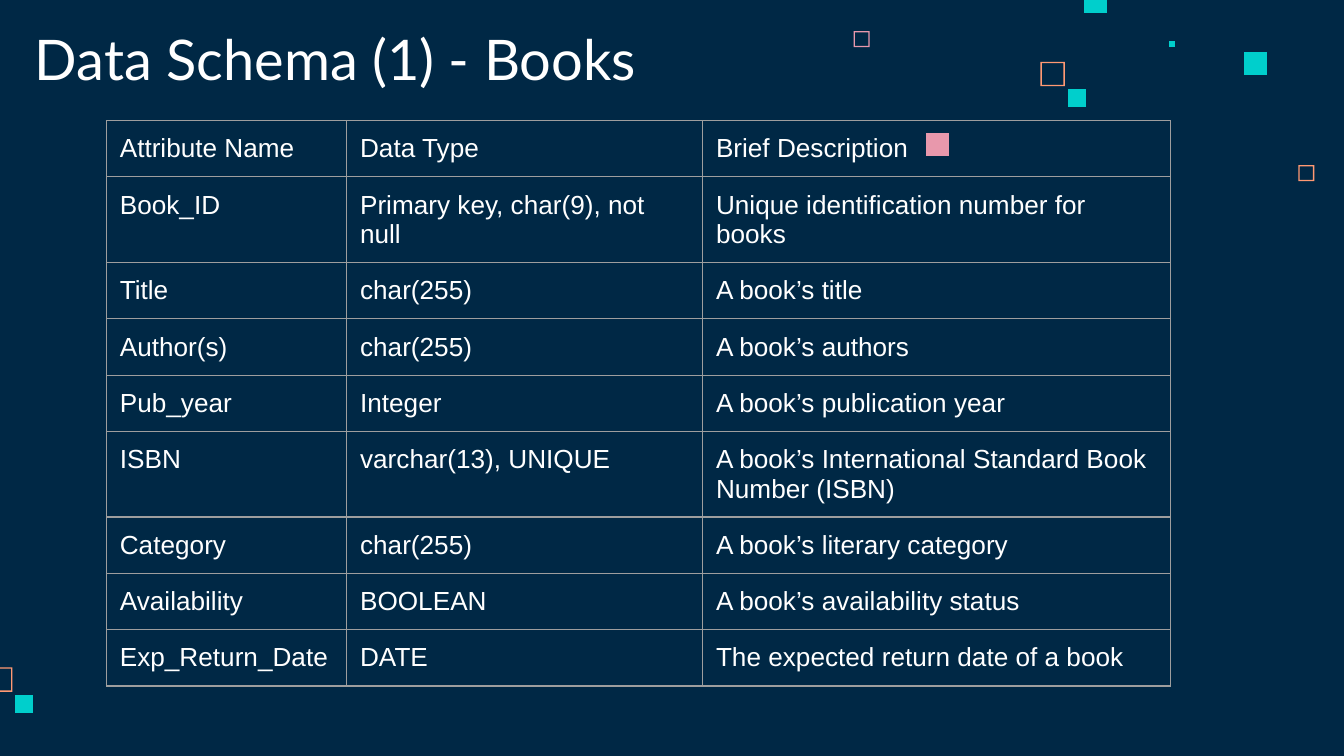
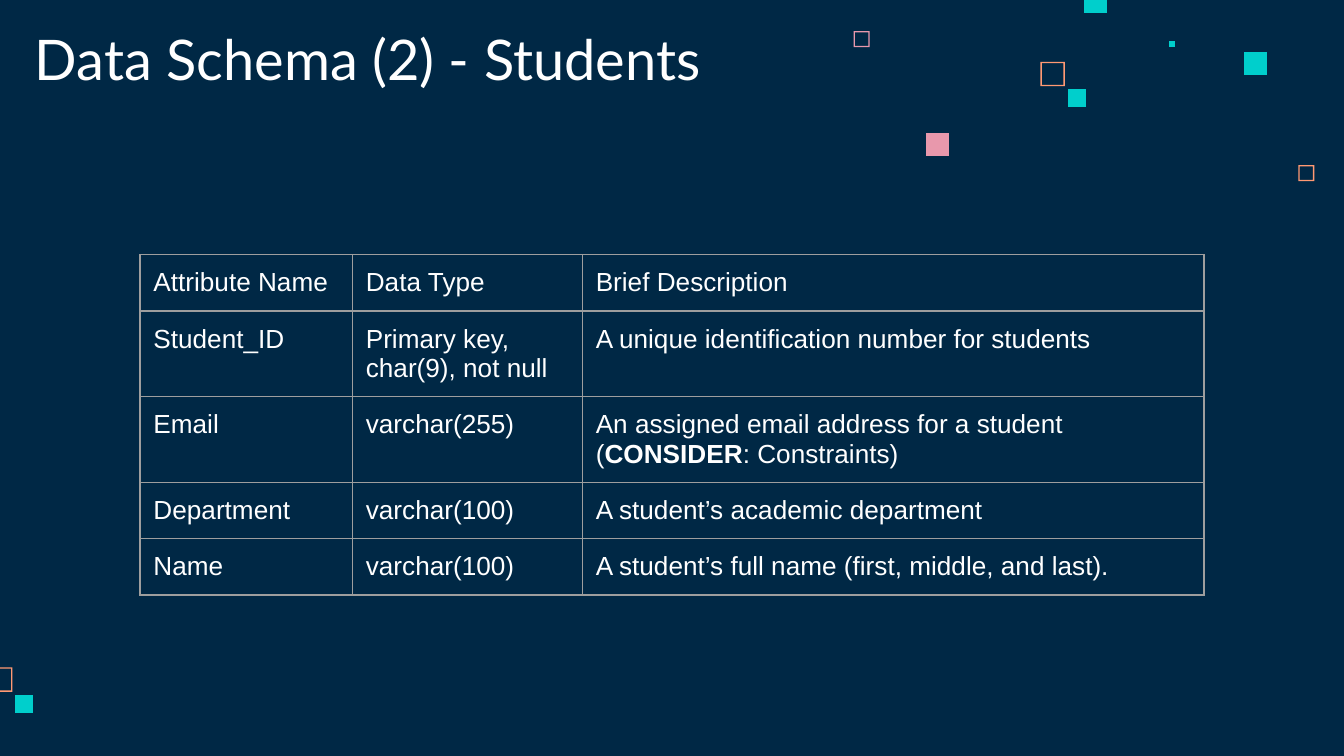
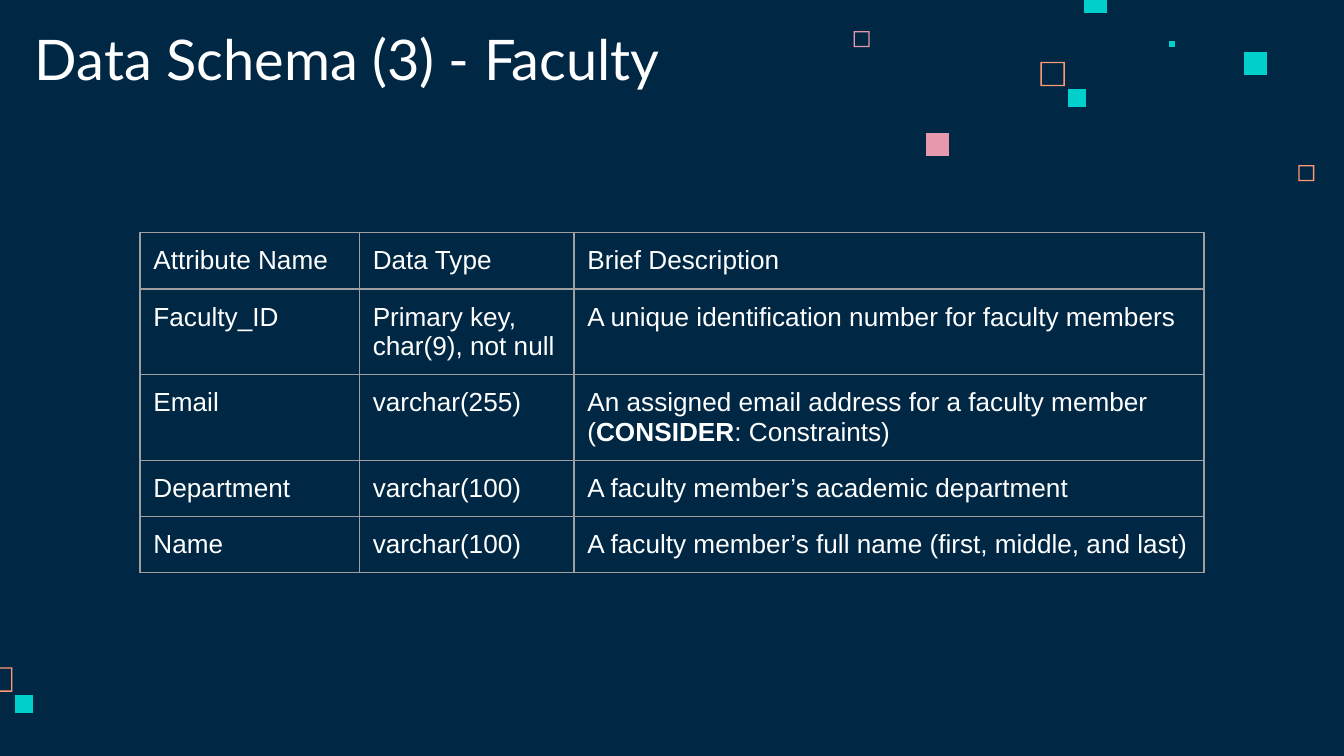
"""Build three slides that list the tables of a library data schema."""
from pptx import Presentation
from pptx.dml.color import RGBColor
from pptx.enum.text import MSO_ANCHOR, MSO_AUTO_SIZE, PP_ALIGN
from pptx.oxml import parse_xml
from pptx.oxml.ns import nsdecls
from pptx.util import Pt

NAVY, WHITE, GREY = "002845", "FFFFFF", "9E9E9E"
TEAL, PINK, CORAL = "00CFCC", "E898AC", "FF9973"
WIDTH, ROW, INSET, RIM = 570, 30, 7.2, 0.7

SQUARES = [
    (695.5, 88.5, 8.6, CORAL, True),
    (457.3, 16.7, 8.6, PINK, True),
    (557.4, 33.1, 13, CORAL, True),
    (626.3, 21.8, 3.4, TEAL, False),
    (580.5, -5.5, 12.3, TEAL, False),
    (666.5, 27.9, 12.3, TEAL, False),
    (572, 47.7, 9.7, TEAL, False),
    (496.1, 71.2, 12.3, PINK, False),
    (-6.4, 357.6, 13, CORAL, True),
    (8, 372.3, 9.7, TEAL, False),
]

HEAD = ("Attribute Name", "Data Type", "Brief Description")
KEY = "Primary key, char(9), not null"
NOTE = ("CONSIDER", ": Constraints)")

SLIDES = [
    {"title": "Data Schema (1) - Books", "at": (57, 64.6), "cols": (128.7, 190.7), "rows": [
        ("Book_ID", KEY, "Unique identification number for books"),
        ("Title", "char(255)", "A book’s title"),
        ("Author(s)", "char(255)", "A book’s authors"),
        ("Pub_year", "Integer", "A book’s publication year"),
        ("ISBN", "varchar(13), UNIQUE", "A book’s International Standard Book Number (ISBN)"),
        ("Category", "char(255)", "A book’s literary category"),
        ("Availability", "BOOLEAN", "A book’s availability status"),
        ("Exp_Return_Date", "DATE", "The expected return date of a book"),
    ]},
    {"title": "Data Schema (2) - Students", "at": (75, 136.5), "cols": (113.8, 123.2), "rows": [
        ("Student_ID", KEY, "A unique identification number for students"),
        ("Email", "varchar(255)", ("An assigned email address for a student (", *NOTE)),
        ("Department", "varchar(100)", "A student’s academic department"),
        ("Name", "varchar(100)", "A student’s full name (first, middle, and last)."),
    ]},
    {"title": "Data Schema (3) - Faculty", "at": (75, 124.6), "cols": (117.5, 115), "rows": [
        ("Faculty_ID", KEY, "A unique identification number for faculty members"),
        ("Email", "varchar(255)", ("An assigned email address for a faculty member (", *NOTE)),
        ("Department", "varchar(100)", "A faculty member’s academic department"),
        ("Name", "varchar(100)", "A faculty member’s full name (first, middle, and last)"),
    ]},
]


def paint(color, code):
    """Set a colour from a hex string."""
    color.rgb = RGBColor.from_string(code)


def write(para, text, face, size):
    """Add the runs of a text; every second run is bold."""
    parts = (text,) if isinstance(text, str) else text
    for num, part in enumerate(parts):
        run = para.add_run()
        run.text = part
        run.font.name, run.font.size, run.font.bold = face, Pt(size), num % 2 == 1
        paint(run.font.color, WHITE)


def pad(box):
    """Give a cell or text frame equal margins."""
    box.margin_left = box.margin_right = box.margin_top = box.margin_bottom = Pt(INSET)


def add_square(slide, left, top, side, code, hollow):
    """Draw a solid square or a thin square ring."""
    right, base = left + side, top + side
    pen = slide.shapes.build_freeform(Pt(left), Pt(top), 1.0)
    pen.add_line_segments([(Pt(left), Pt(base)), (Pt(right), Pt(base)), (Pt(right), Pt(top))])
    if hollow:
        near, far, high, low = Pt(left + RIM), Pt(right - RIM), Pt(top + RIM), Pt(base - RIM)
        pen.move_to(far, high)
        pen.add_line_segments([(far, low), (near, low), (near, high)])
    shape = pen.convert_to_shape()
    shape.shadow.inherit = False
    shape.fill.solid()
    paint(shape.fill.fore_color, code)
    shape.line.fill.background()


def add_title(slide, text):
    """Place and fill the title, above the squares."""
    title = slide.shapes.title
    title.left, title.top, title.width, title.height = Pt(11.5), Pt(10.8), Pt(372), Pt(45.4)
    frame = title.text_frame
    pad(frame)
    frame.word_wrap, frame.auto_size = True, MSO_AUTO_SIZE.NONE
    frame.vertical_anchor = MSO_ANCHOR.BOTTOM
    para = frame.paragraphs[0]
    para.alignment = PP_ALIGN.LEFT
    write(para, text, "Lato", 30)
    title.element.getparent().append(title.element)


def style_cell(cell):
    """Give a cell grey borders, margins and no fill."""
    props = cell._tc.get_or_add_tcPr()
    for side in "LRTB":
        props.append(parse_xml(
            f'<a:ln{side} {nsdecls("a")} w="{Pt(0.75)}"><a:solidFill>'
            f'<a:srgbClr val="{GREY}"/></a:solidFill></a:ln{side}>'))
    cell.fill.background()
    pad(cell)


def add_grid(slide, at, cols, rows):
    """Add the schema table; the last column takes the rest of the width."""
    rows = [HEAD, *rows]
    left, top = at
    grid = slide.shapes.add_table(
        len(rows), len(HEAD), Pt(left), Pt(top), Pt(WIDTH), Pt(ROW * len(rows))).table
    grid.first_row = grid.horz_banding = False
    for col, wide in zip(grid.columns, (*cols, WIDTH - sum(cols))):
        col.width = Pt(wide)
    for line, texts in zip(grid.rows, rows):
        line.height = Pt(ROW)
        for cell, text in zip(line.cells, texts):
            style_cell(cell)
            write(cell.text_frame.paragraphs[0], text, "Arial", 14)


def main():
    """Build and save the deck."""
    deck = Presentation()
    deck.slide_width, deck.slide_height = Pt(720), Pt(405)
    back = deck.slide_master.background.fill
    back.solid()
    paint(back.fore_color, NAVY)
    for item in SLIDES:
        slide = deck.slides.add_slide(deck.slide_layouts[0])
        extra = slide.placeholders[1].element
        extra.getparent().remove(extra)
        for square in SQUARES:
            add_square(slide, *square)
        add_title(slide, item["title"])
        add_grid(slide, item["at"], item["cols"], item["rows"])
    deck.save("out.pptx")


if __name__ == "__main__":
    main()
